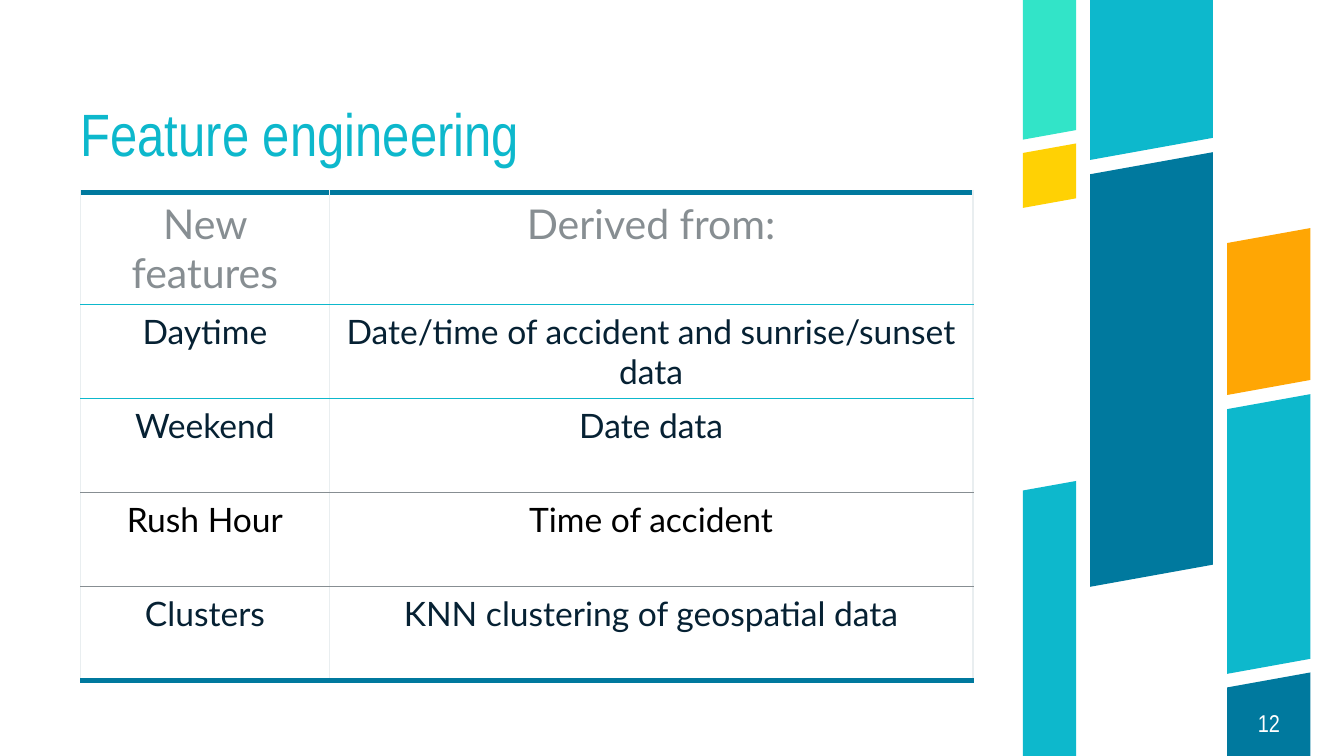
import pptx
import pptx.util
import pptx.dml.color
import pptx.enum.text
import pptx.oxml.ns
from lxml import etree

Pt = pptx.util.Pt
ALIGN = pptx.enum.text.PP_ALIGN
ANCHOR = pptx.enum.text.MSO_ANCHOR

WIDTH, HEIGHT = 720, 405
SLOPE = 0.18

COLORS = {
    "teal": "0DB8CC",
    "blue": "00799E",
    "mint": "32E4C8",
    "yellow": "FFD104",
    "orange": "FFA604",
    "gray": "878E92",
    "pale": "E9EEF0",
    "navy": "062133",
    "black": "000000",
    "white": "FFFFFF",
}

# Each column: left, right, then its slats as (top, bottom, color) on the left edge
SLAT_COLUMNS = [
    (548, 576.5, [(0, 74.8, "mint"), (82, 111.4, "yellow"), (262.8, HEIGHT, "teal")]),
    (584, 649.8, [(0, 85.7, "teal"), (93.4, 314.4, "blue")]),
    (657.4, 702, [(130.2, 211.6, "orange"), (219.2, 361, "teal"), (368.3, HEIGHT, "blue")]),
]

ROWS = [
    ("New features", "Derived from:"),
    ("Daytime", "Date/time of accident and sunrise/sunset data"),
    ("Weekend", "Date data"),
    ("Rush Hour", "Time of accident"),
    ("Clusters", "KNN clustering of geospatial data"),
]
TEXT_COLORS = ["gray", "navy", "navy", "black", "navy"]
# Horizontal rules from above the first row to below the last
RULES = [("blue", 3), ("teal", 1), ("teal", 1), ("gray", 0.5), ("gray", 0.5), ("blue", 3)]


def rgb(name):
    return pptx.dml.color.RGBColor.from_string(COLORS[name])


def write(tf, text, size, color, font="Lato", align=ALIGN.CENTER, spacing=None):
    p = tf.paragraphs[0]
    p.alignment = align
    p.line_spacing = spacing
    r = p.add_run()
    r.text = text
    r.font.size = Pt(size)
    r.font.name = font
    r.font.bold = False
    r.font.color.rgb = rgb(color)


def set_frame(tf, anchor):
    """Wrap the text, with no margins and no autofit."""
    tf.word_wrap = True
    tf.auto_size = pptx.enum.text.MSO_AUTO_SIZE.NONE
    tf.vertical_anchor = anchor
    tf.margin_left = tf.margin_right = tf.margin_top = tf.margin_bottom = 0


def add_slat(s, left, right, top, bottom, color):
    """Draw a slat whose ends slope, except where it meets the slide edge."""
    rise = SLOPE * (right - left)
    right_top = top - rise if top > 0 else 0
    right_bottom = bottom - rise if bottom < HEIGHT else HEIGHT
    corners = [(right, right_top), (right, right_bottom), (left, bottom)]
    builder = s.shapes.build_freeform(Pt(left), Pt(top))
    builder.add_line_segments([(Pt(x), Pt(y)) for x, y in corners], close=True)
    sp = builder.convert_to_shape()
    sp.shadow.inherit = False
    sp.fill.solid()
    sp.fill.fore_color.rgb = rgb(color)
    sp.line.fill.background()


def add_title(s, text):
    sp = s.shapes.title
    sp.left, sp.top, sp.width, sp.height = Pt(43.2), Pt(59.8), Pt(481), Pt(31)
    set_frame(sp.text_frame, ANCHOR.BOTTOM)
    write(sp.text_frame, text, 32, "teal", font="Arial Narrow", align=ALIGN.LEFT, spacing=0.9)


def set_border(cell, side, color, width):
    qn = pptx.oxml.ns.qn
    props = cell._tc.get_or_add_tcPr()
    line = etree.SubElement(props, qn("a:ln" + side), w=str(Pt(width)))
    fill = etree.SubElement(line, qn("a:solidFill"))
    etree.SubElement(fill, qn("a:srgbClr"), val=COLORS[color])


def add_feature_table(s):
    col_widths = (133.2, 344.9)
    row_height = 50.4
    frame = s.shapes.add_table(len(ROWS), len(col_widths), Pt(43.2), Pt(103),
                               Pt(sum(col_widths)), Pt(row_height * len(ROWS)))
    table = frame.table
    table.first_row = table.horz_banding = False
    for column, width in zip(table.columns, col_widths):
        column.width = Pt(width)
    for i, texts in enumerate(ROWS):
        table.rows[i].height = Pt(row_height)
        for j, text in enumerate(texts):
            cell = table.cell(i, j)
            write(cell.text_frame, text, 22 if i == 0 else 18, TEXT_COLORS[i])
            set_border(cell, "L", "pale", 0.75)
            set_border(cell, "R", "pale", 0.75)
            set_border(cell, "T", *RULES[i])
            set_border(cell, "B", *RULES[i + 1])
            cell.fill.background()


def add_page_number(s, number):
    sp = s.shapes.add_textbox(Pt(657.4), Pt(369), Pt(44.6), Pt(36))
    set_frame(sp.text_frame, ANCHOR.MIDDLE)
    write(sp.text_frame, number, 13, "white", font="Arial Narrow")


def main():
    prs = pptx.Presentation()
    prs.slide_width, prs.slide_height = Pt(WIDTH), Pt(HEIGHT)
    s = prs.slides.add_slide(prs.slide_layouts[5])
    for left, right, slats in SLAT_COLUMNS:
        for top, bottom, color in slats:
            add_slat(s, left, right, top, bottom, color)
    add_title(s, "Feature engineering")
    add_feature_table(s)
    add_page_number(s, "12")
    prs.save("out.pptx")


if __name__ == "__main__":
    main()
